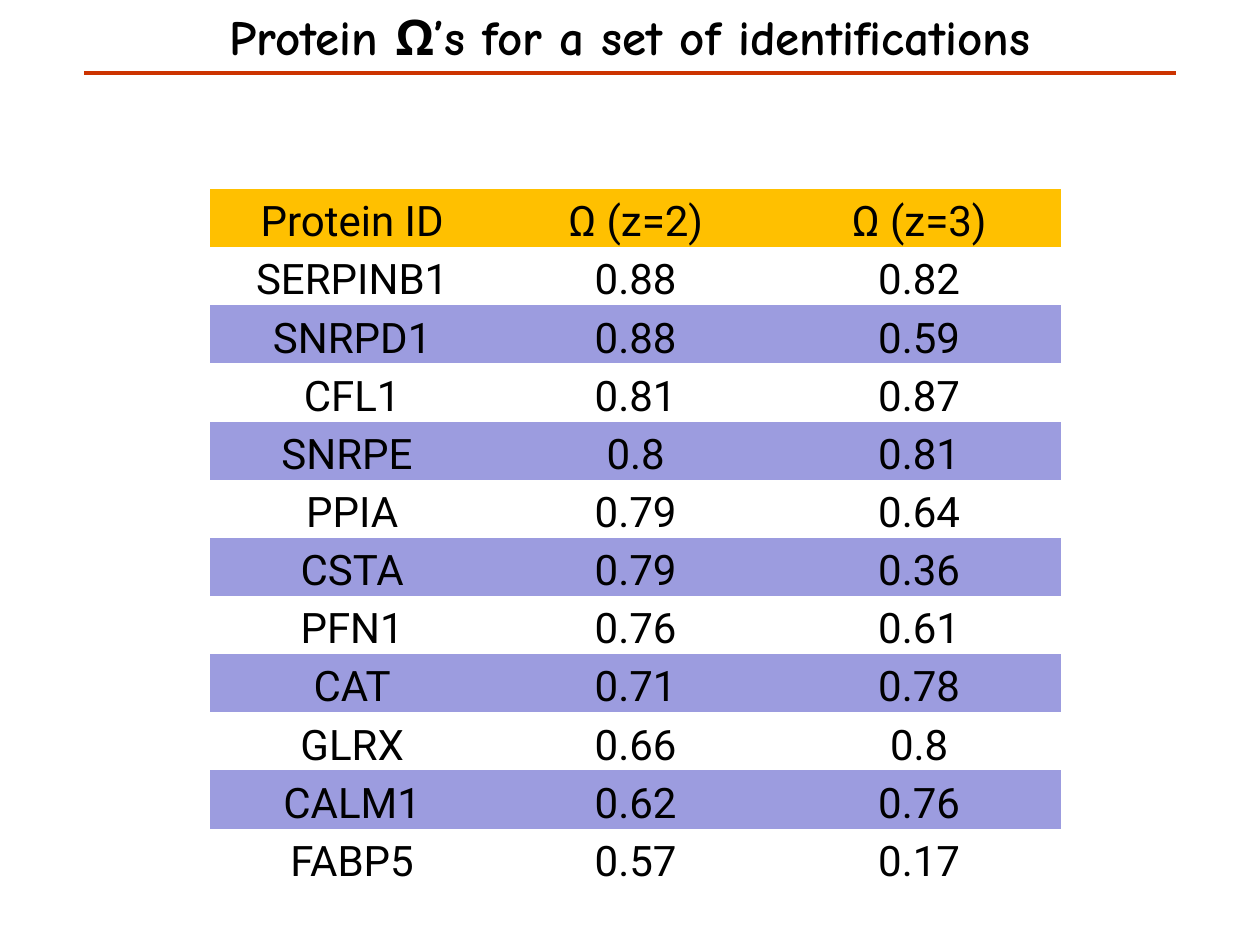
from dataclasses import dataclass
from typing import NamedTuple

from lxml.etree import SubElement
from pptx import Presentation
from pptx.dml.color import RGBColor
from pptx.enum.shapes import MSO_CONNECTOR
from pptx.enum.text import MSO_ANCHOR, MSO_AUTO_SIZE, PP_ALIGN
from pptx.oxml.ns import qn
from pptx.slide import Slide
from pptx.table import _Cell
from pptx.text.text import _Paragraph
from pptx.util import Inches, Pt


@dataclass(frozen=True)
class Theme:
    text: RGBColor = RGBColor(0x00, 0x00, 0x00)
    rule: RGBColor = RGBColor(0xCC, 0x33, 0x00)
    header: RGBColor = RGBColor(0xFF, 0xC0, 0x00)
    band: RGBColor = RGBColor(0x9C, 0x9C, 0xDF)
    title_font: str = "Comic Neue"
    table_font: str = "Roboto"
    title_size: Pt = Pt(28)
    table_size: Pt = Pt(24)
    rule_width: Pt = Pt(2.5)


class ProteinRow(NamedTuple):
    protein: str
    omega_z2: str
    omega_z3: str


THEME = Theme()
NO_STYLE_NO_GRID = "{2D5ABB26-0587-4C30-8999-92F81FD0307C}"
ROWS = [
    ProteinRow("Protein ID", "Ω (z=2)", "Ω (z=3)"),
    ProteinRow("SERPINB1", "0.88", "0.82"),
    ProteinRow("SNRPD1", "0.88", "0.59"),
    ProteinRow("CFL1", "0.81", "0.87"),
    ProteinRow("SNRPE ", "0.8", "0.81"),
    ProteinRow("PPIA", "0.79", "0.64"),
    ProteinRow("CSTA", "0.79", "0.36"),
    ProteinRow("PFN1", "0.76", "0.61"),
    ProteinRow("CAT", "0.71", "0.78"),
    ProteinRow("GLRX", "0.66", "0.8"),
    ProteinRow("CALM1", "0.62", "0.76"),
    ProteinRow("FABP5", "0.57", "0.17"),
]


def add_centred_run(paragraph: _Paragraph, text: str, font: str, size: Pt,
                    bold: bool = False) -> None:
    paragraph.alignment = PP_ALIGN.CENTER
    run = paragraph.add_run()
    run.text = text
    run.font.name = font
    run.font.size = size
    run.font.bold = bold
    run.font.color.rgb = THEME.text


def add_title(slide: Slide, text: str) -> None:
    title = slide.shapes.title
    title.left, title.top = Inches(0), Inches(0)
    title.width, title.height = Inches(10), Inches(0.57)
    frame = title.text_frame
    frame.word_wrap = True
    frame.auto_size = MSO_AUTO_SIZE.SHAPE_TO_FIT_TEXT
    frame.vertical_anchor = MSO_ANCHOR.TOP
    add_centred_run(frame.paragraphs[0], text, THEME.title_font,
                    THEME.title_size, bold=True)


def add_title_rule(slide: Slide) -> None:
    rule = slide.shapes.add_connector(
        MSO_CONNECTOR.STRAIGHT, Inches(0.67), Inches(0.58),
        Inches(9.33), Inches(0.58))
    rule.line.color.rgb = THEME.rule
    rule.line.width = THEME.rule_width
    SubElement(rule._element.spPr, qn("a:effectLst"))


def fill_cell(cell: _Cell, text: str, row_index: int) -> None:
    cell.margin_left = cell.margin_right = cell.margin_top = Inches(0.01)
    cell.margin_bottom = Inches(0)
    cell.vertical_anchor = MSO_ANCHOR.BOTTOM
    # Header first, then every second row is banded
    if row_index % 2:
        cell.fill.background()
    else:
        cell.fill.solid()
        cell.fill.fore_color.rgb = THEME.band if row_index else THEME.header
    add_centred_run(cell.text_frame.paragraphs[0], text,
                    THEME.table_font, THEME.table_size)


def add_protein_table(slide: Slide, rows: list[ProteinRow]) -> None:
    height = Inches(5.54)
    frame = slide.shapes.add_table(
        len(rows), len(ProteinRow._fields),
        Inches(1.67), Inches(1.5), Inches(6.75), height)
    table = frame.table
    table.first_row = table.horz_banding = False
    table._tbl.tblPr.find(qn("a:tableStyleId")).text = NO_STYLE_NO_GRID
    for row_index, row in enumerate(rows):
        table.rows[row_index].height = height // len(rows)
        for column_index, text in enumerate(row):
            fill_cell(table.cell(row_index, column_index), text, row_index)


def main() -> None:
    presentation = Presentation()
    presentation.slide_width = Inches(10)
    presentation.slide_height = Inches(7.5)
    slide = presentation.slides.add_slide(presentation.slide_layouts[5])

    # Table of scores per protein
    add_protein_table(slide, ROWS)

    # Heading and the line under it
    add_title_rule(slide)
    add_title(slide, "Protein Ω’s for a set of identifications")

    presentation.save("out.pptx")


if __name__ == "__main__":
    main()
